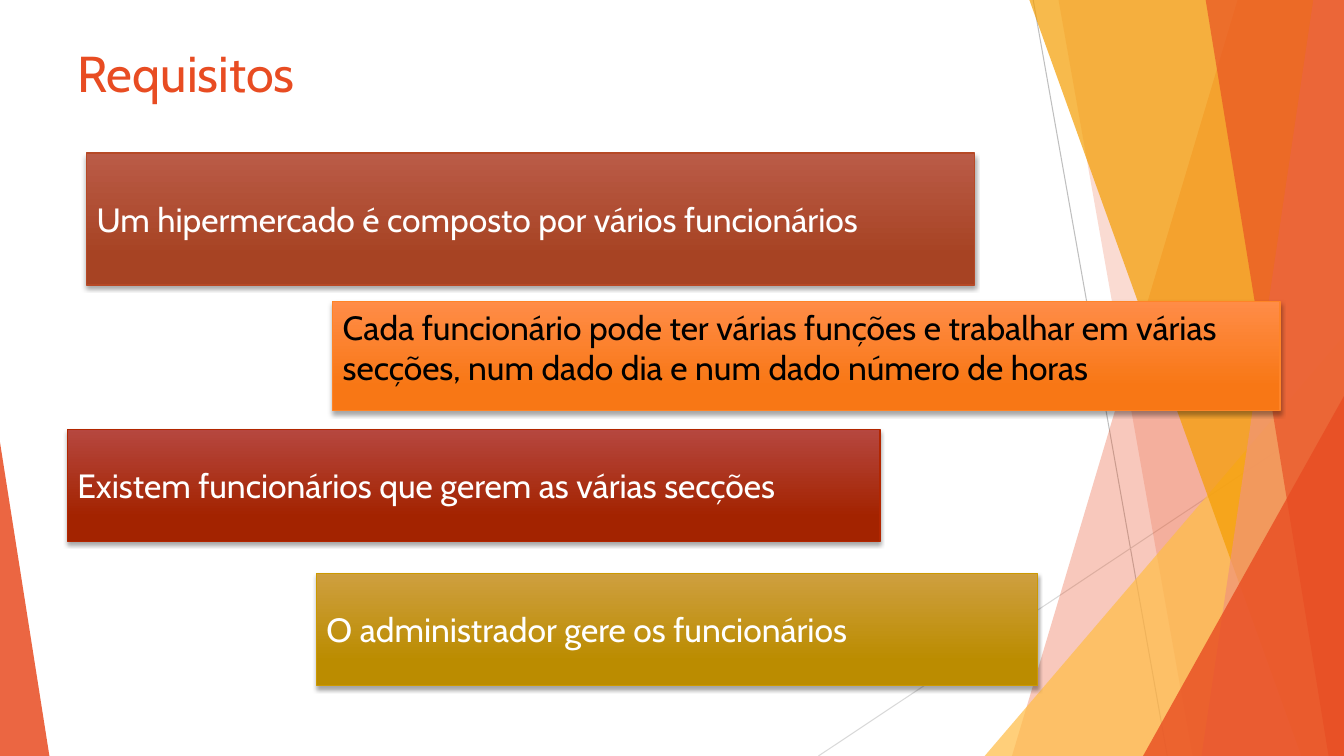
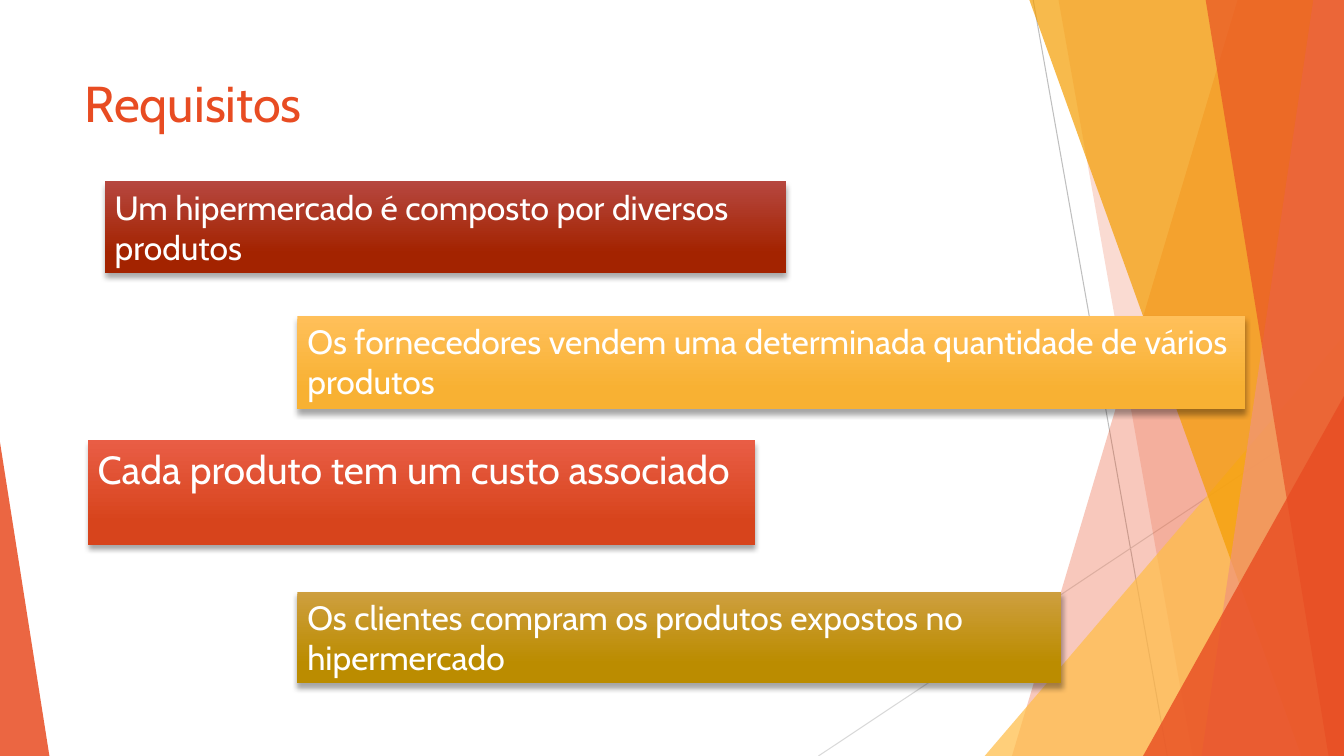
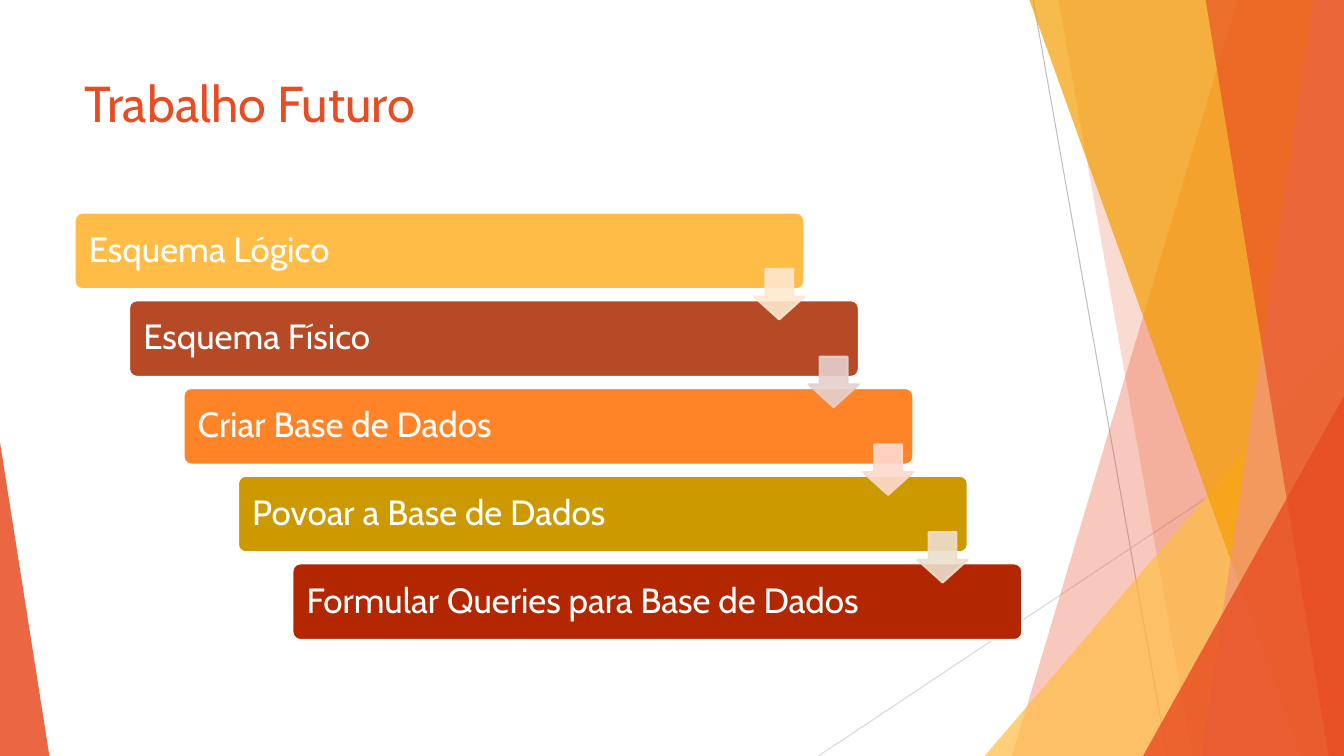
from lxml import etree
from pptx import Presentation
from pptx.dml.color import RGBColor
from pptx.enum.shapes import MSO_CONNECTOR, MSO_SHAPE
from pptx.enum.text import MSO_ANCHOR, MSO_AUTO_SIZE, PP_ALIGN
from pptx.oxml.ns import qn
from pptx.util import Pt

STRAIGHT = MSO_CONNECTOR.STRAIGHT
RECTANGLE = MSO_SHAPE.RECTANGLE
ROUNDED = MSO_SHAPE.ROUNDED_RECTANGLE
TRIANGLE = MSO_SHAPE.ISOSCELES_TRIANGLE
DOWN_ARROW = MSO_SHAPE.DOWN_ARROW
TOP = MSO_ANCHOR.TOP
MIDDLE = MSO_ANCHOR.MIDDLE
NO_AUTOFIT = MSO_AUTO_SIZE.NONE
LEFT = PP_ALIGN.LEFT

WIDTH, HEIGHT = 960, 540
FONT = "Cabin"
ORANGE_RED = "E84C22"
WHITE = "FFFFFF"
BLACK = "000000"
BROWN_GRADIENT = ("BA5B47", "A74323")
ORANGE_GRADIENT = ("FF8C47", "F87715")
RED_GRADIENT = ("B6473F", "A32300")
GOLD_GRADIENT = ("CE9F3F", "BB8C00")
AMBER_GRADIENT = ("FFC05A", "F8B133")
CORAL_GRADIENT = ("E95D45", "D7441C")


def paint(fill, *colors, opacity=100):
    if len(colors) == 2:
        fill.gradient()
        fill.gradient_angle = 270
        for stop, color, position in zip(fill.gradient_stops, colors, (0, 0.78)):
            stop.color.rgb = RGBColor.from_string(color)
            stop.position = position
        return
    fill.solid()
    fill.fore_color.rgb = RGBColor.from_string(colors[0])
    if opacity < 100:
        color_element = fill._xPr.find(qn("a:solidFill"))[0]
        etree.SubElement(color_element, qn("a:alpha"), val=str(opacity * 1000))


def write_text(shape, text, size=24, color=WHITE, anchor=TOP, margin=7.2, spacing=1.0, unbullet=False):
    frame = shape.text_frame
    frame.word_wrap = True
    frame.auto_size = NO_AUTOFIT
    frame.vertical_anchor = anchor
    frame.margin_left = frame.margin_right = Pt(margin)
    paragraph = frame.paragraphs[0]
    if unbullet:
        properties = paragraph._p.get_or_add_pPr()
        properties.set("marL", "0")
        properties.set("indent", "0")
        etree.SubElement(properties, qn("a:buNone"))
    paragraph.alignment = LEFT
    paragraph.line_spacing = spacing
    paragraph.space_before = Pt(0)
    run = paragraph.add_run()
    run.text = text
    run.font.name = FONT
    run.font.size = Pt(size)
    paint(run.font.fill, color)


presentation = Presentation()
presentation.slide_width = Pt(WIDTH)
presentation.slide_height = Pt(HEIGHT)
layouts = presentation.slide_layouts
slides = [presentation.slides.add_slide(layouts[index]) for index in (1, 1, 5)]

canvas = slides[0].shapes
decorations = []

for start_x, start_y, end_x, end_y, color in (
    (738, 0, 833.8, HEIGHT, "BFBFBF"),
    (WIDTH, 290.2, 584.6, HEIGHT, "D9D9D9"),
):
    connector = canvas.add_connector(STRAIGHT, Pt(start_x), Pt(start_y), Pt(end_x), Pt(end_y))
    connector.line.width = Pt(0.75)
    paint(connector.line.fill, color)
    etree.SubElement(connector.element.spPr, qn("a:effectLst"))
    decorations.append(connector)

for kind, geometry, color, opacity in (
    ("band", (884.2, 722.9), ORANGE_RED, 30),
    ("band", (756, 851.8), ORANGE_RED, 20),
    ("triangle", (703.4, 239.8, 256.6, 1), "FFBD47", 72),
    ("band", (735.1, 929.5), "F49D00", 70),
    ("band", (938.2, 858.2), "F1947A", 70),
    ("band", (861.1, 949), ORANGE_RED, 65),
    ("triangle", (816.5, 283, 143.5, 1), ORANGE_RED, 80),
    ("triangle", (0, 316, 35.3, 0), ORANGE_RED, 85),
):
    if kind == "band":
        top_x, bottom_x = geometry
        builder = canvas.build_freeform(Pt(top_x), Pt(-0.6))
        corners = ((WIDTH, -0.6), (WIDTH, HEIGHT), (bottom_x, HEIGHT))
        builder.add_line_segments([(Pt(x), Pt(y)) for x, y in corners], close=True)
        shape = builder.convert_to_shape()
    else:
        left, top, width, apex = geometry
        shape = canvas.add_shape(TRIANGLE, Pt(left), Pt(top), Pt(width), Pt(HEIGHT - top))
        shape.adjustments[0] = apex
    shape.shadow.inherit = False
    shape.line.fill.background()
    paint(shape.fill, color, opacity=opacity)
    decorations.append(shape)

master_tree = presentation.slide_master.shapes.element
for index, decoration in enumerate(decorations):
    decoration.element.xpath(".//p:cNvPr")[0].set("id", str(100 + index))
    master_tree.insert(2 + index, decoration.element)

for slide, text, left, top in zip(
    slides, ("Requisitos", "Requisitos", "Trabalho Futuro"), (48.2, 53.3, 53.3), (26.6, 48.2, 48.2)
):
    title = slide.shapes.title
    title.left, title.top, title.width, title.height = Pt(left), Pt(top), Pt(676.8), Pt(103.7)
    write_text(title, text, size=36, color=ORANGE_RED)

staff_cards = (
    ("Cada funcionário pode ter várias funções e trabalhar em várias secções, num dado dia e num dado número de horas",
     (237.6, 215.3, 676.8, 77.8), ORANGE_GRADIENT, "FF8427", {"color": BLACK, "unbullet": True}),
    ("Um hipermercado é composto por vários funcionários",
     (61.9, 109.4, 634.3, 94.3), BROWN_GRADIENT, "B64926", {"anchor": MIDDLE}),
    ("O administrador gere os funcionários",
     (226.1, 409.7, 514.8, 79.9), GOLD_GRADIENT, "CC9900", {"anchor": MIDDLE}),
    ("Existem funcionários que gerem as várias secções",
     (48.2, 306.7, 580.3, 79.9), RED_GRADIENT, "B22600", {"anchor": MIDDLE}),
)
product_cards = (
    ("Os fornecedores vendem uma determinada quantidade de vários produtos",
     (212.4, 225.4, 676.8, 67), AMBER_GRADIENT, None, {"unbullet": True}),
    ("Cada produto tem um custo associado",
     (62.6, 314.6, 476.6, 74.9), CORAL_GRADIENT, None, {"size": 28}),
    ("Um hipermercado é composto por diversos produtos",
     (74.9, 129.6, 486.7, 65.5), RED_GRADIENT, None, {}),
    ("Os clientes compram os produtos expostos no hipermercado",
     (212.4, 422.6, 545.8, 65.5), GOLD_GRADIENT, None, {}),
)

for slide, cards, blur, distance in (
    (slides[0], staff_cards, 3, 2),
    (slides[1], product_cards, 4, 3),
):
    for text, box, gradient, outline, text_format in cards:
        left, top, width, height = [Pt(length) for length in box]
        if "unbullet" in text_format:
            card = slide.placeholders[1]
            card.left, card.top, card.width, card.height = left, top, width, height
        else:
            card = slide.shapes.add_shape(RECTANGLE, left, top, width, height)
        paint(card.fill, *gradient)
        if outline:
            paint(card.line.fill, outline)
            card.line.width = Pt(1)
        else:
            card.line.fill.background()
        card.shadow.inherit = False
        effects = card.element.spPr.find(qn("a:effectLst"))
        shadow = etree.SubElement(
            effects, qn("a:outerShdw"), blurRad=str(Pt(blur)), dist=str(Pt(distance)),
            dir="5400000", rotWithShape="0",
        )
        shadow_color = etree.SubElement(shadow, qn("a:srgbClr"), val=BLACK)
        etree.SubElement(shadow_color, qn("a:alpha"), val="35000")
        write_text(card, text, **text_format)

STEP_LEFT, STEP_TOP = 53.3, 151.9
STEP_X, STEP_Y = 38.9, 62.64
ARROW_SIZE = 36
steps = (
    ("Esquema Lógico", "FFBD47"),
    ("Esquema Físico", "B64926"),
    ("Criar Base de Dados", "FF8427"),
    ("Povoar a Base de Dados", "CC9900"),
    ("Formular Queries para Base de Dados", "B22600"),
)
shapes = slides[2].shapes
for index, (text, color) in enumerate(steps):
    bar = shapes.add_shape(
        ROUNDED, Pt(STEP_LEFT + index * STEP_X), Pt(STEP_TOP + index * STEP_Y), Pt(521.3), Pt(54.7)
    )
    bar.adjustments[0] = 0.1
    bar.shadow.inherit = False
    paint(bar.fill, color)
    paint(bar.line.fill, WHITE)
    bar.line.width = Pt(1.5)
    write_text(bar, text, size=25, anchor=MIDDLE, margin=8.6, spacing=0.9)

for index, color in enumerate(("FFE8CF", "E5D0CD", "FFD9CD", "ECDECC")):
    arrow = shapes.add_shape(
        DOWN_ARROW, Pt(STEP_LEFT + 485.3 + index * STEP_X), Pt(STEP_TOP + 40.3 + index * STEP_Y),
        Pt(ARROW_SIZE), Pt(ARROW_SIZE),
    )
    arrow.adjustments[0] = 0.55
    arrow.adjustments[1] = 0.45
    arrow.shadow.inherit = False
    paint(arrow.fill, color, opacity=90)
    paint(arrow.line.fill, color, opacity=90)
    arrow.line.width = Pt(1.5)

presentation.save("out.pptx")
